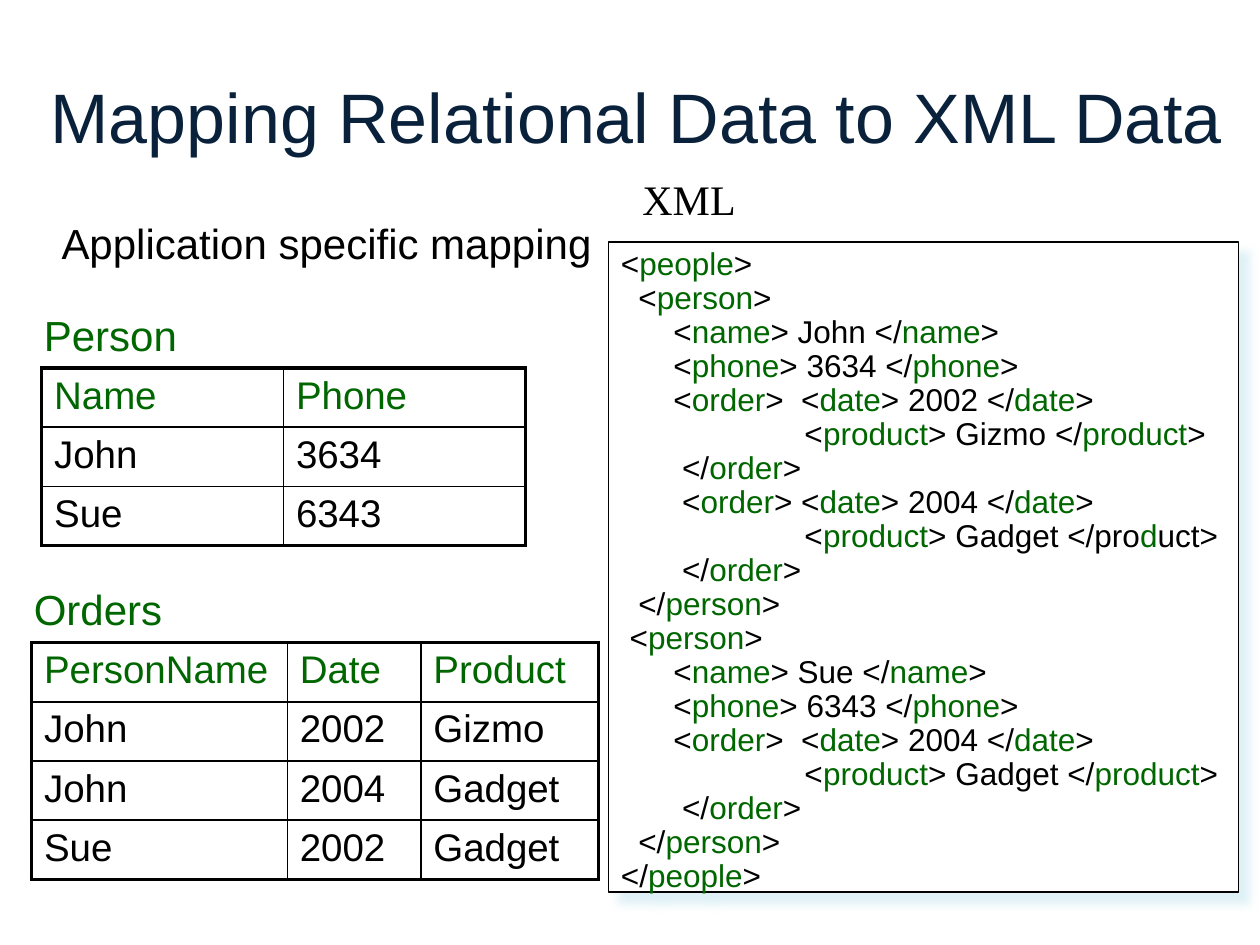
import pptx
import pptx.dml.color
import pptx.enum.shapes
import pptx.enum.text
import pptx.oxml
import pptx.oxml.ns
import pptx.util

PX = 9144
BLACK, GREEN, NAVY, WHITE = "000000", "006600", "09213B", "FFFFFF"
SHADOW = "D5EDF4"
ALIGN = pptx.enum.text.PP_ALIGN
ANCHOR = pptx.enum.text.MSO_ANCHOR

PERSON = [("Name", "Phone"), ("John", "3634"), ("Sue", "6343")]
ORDERS = [
    ("PersonName", "Date", "Product"),
    ("John", "2002", "Gizmo"),
    ("John", "2004", "Gadget"),
    ("Sue", "2002", "Gadget"),
]
XML_LINES = """<|people|>
  <|person|>
      <|name|> John </|name|>
      <|phone|> 3634 </|phone|>
      <|order|>  <|date|> 2002 </|date|>
                     <|product|> Gizmo </|product|>
       </|order|>
       <|order|> <|date|> 2004 </|date|>
                     <|product|> Gadget </pro|d|uct>
       </|order|>
  </|person|>
 <|person|>
      <|name|> Sue </|name|>
      <|phone|> 6343 </|phone|>
      <|order|>  <|date|> 2004 </|date|>
                     <|product|> Gadget </|product|>
       </|order|>
  </|person|>
</|people|>"""


def rgb(value):
    return pptx.dml.color.RGBColor.from_string(value)


def px(*values):
    return [pptx.util.Emu(value * PX) for value in values]


def drawing_xml(body):
    return pptx.oxml.parse_xml(body.replace(">", f" {pptx.oxml.ns.nsdecls('a')}>", 1))


def write(frame, text, size=24, color=BLACK, marked=GREEN, font="Arial",
          align=ALIGN.LEFT, spacing=None, hanging=0):
    for index, line in enumerate(text.split("\n")):
        paragraph = frame.add_paragraph() if index else frame.paragraphs[0]
        paragraph.alignment = align
        if spacing:
            paragraph.line_spacing = spacing
        if hanging:
            properties = paragraph._p.get_or_add_pPr()
            properties.set("marL", str(hanging * PX))
            properties.set("indent", str(-hanging * PX))
        for part, words in enumerate(line.split("|")):
            run = paragraph.add_run()
            run.text = words
            run.font.name = font
            run.font.size = pptx.util.Pt(size)
            run.font.bold = False
            run.font.color.rgb = rgb(marked if part % 2 else color)


class Deck:
    def __init__(self, width, height):
        self.presentation = pptx.Presentation()
        self.presentation.slide_width, self.presentation.slide_height = px(width, height)
        self.slide = self.presentation.slides.add_slide(self.presentation.slide_layouts[5])

    def title(self, text, left, top, width, height):
        heading = self.slide.shapes.title
        heading.left, heading.top, heading.width, heading.height = px(left, top, width, height)
        frame = heading.text_frame
        frame.auto_size = pptx.enum.text.MSO_AUTO_SIZE.NONE
        frame.word_wrap = False
        frame.vertical_anchor = ANCHOR.MIDDLE
        write(frame, text, size=40, color=NAVY, align=ALIGN.CENTER)

    def label(self, text, left, top, width, **style):
        box = self.slide.shapes.add_textbox(*px(left, top, width, 50))
        box.text_frame.word_wrap = False
        write(box.text_frame, text, **style)

    def listing(self, text, left, top, width, height):
        panel = self.slide.shapes.add_shape(
            pptx.enum.shapes.MSO_SHAPE.RECTANGLE, *px(left, top, width, height))
        panel.shadow.inherit = False
        panel.fill.solid()
        panel.fill.fore_color.rgb = rgb(WHITE)
        panel.line.color.rgb = rgb(BLACK)
        panel.line.width = pptx.util.Pt(0.75)
        effects = panel._element.spPr.find(pptx.oxml.ns.qn("a:effectLst"))
        effects.append(drawing_xml(
            f'<a:outerShdw blurRad="{pptx.util.Pt(5)}" dist="{pptx.util.Pt(8.5)}" '
            f'dir="2700000" algn="ctr" rotWithShape="0"><a:srgbClr val="{SHADOW}">'
            '<a:alpha val="75000"/></a:srgbClr></a:outerShdw>'))
        panel.text_frame.word_wrap = True
        panel.text_frame.vertical_anchor = ANCHOR.TOP
        write(panel.text_frame, text, size=18, spacing=0.9, hanging=38)

    def table(self, rows, left, top, widths, row_height):
        frame = self.slide.shapes.add_table(
            len(rows), len(widths),
            *px(left, top, sum(widths), row_height * len(rows)))
        grid = frame.table
        grid.first_row = grid.horz_banding = False
        for column, width in zip(grid.columns, widths):
            column.width = px(width)[0]
        for r, values in enumerate(rows):
            for c, value in enumerate(values):
                cell = grid.cell(r, c)
                write(cell.text_frame, value, size=22, color=BLACK if r else GREEN)
                outer = {"L": c == 0, "R": c == len(widths) - 1,
                         "T": r == 0, "B": r == len(rows) - 1}
                self.borders(cell, outer)
                cell.fill.background()

    def borders(self, cell, outer):
        properties = cell._tc.get_or_add_tcPr()
        for side, is_outer in outer.items():
            weight = pptx.util.Pt(2.25 if is_outer else 1)
            properties.append(drawing_xml(
                f'<a:ln{side} w="{weight}"><a:solidFill><a:srgbClr val="{BLACK}"/>'
                f'</a:solidFill></a:ln{side}>'))


def main():
    deck = Deck(1000, 750)
    deck.title("Mapping Relational Data to XML Data", 14, 50, 982, 83)
    deck.listing(XML_LINES, 483, 192, 500, 516)
    deck.label("Person", 25, 241, 127, color=GREEN)
    deck.table(PERSON, 33, 292, [192, 192], 47)
    deck.label("Application specific mapping", 39, 168, 446)
    deck.label("Orders", 17, 458, 123, color=GREEN)
    deck.table(ORDERS, 25, 510, [203, 106, 141], 47)
    deck.label("XML", 500, 133, 94, font="Times New Roman")
    deck.presentation.save("out.pptx")


if __name__ == "__main__":
    main()
